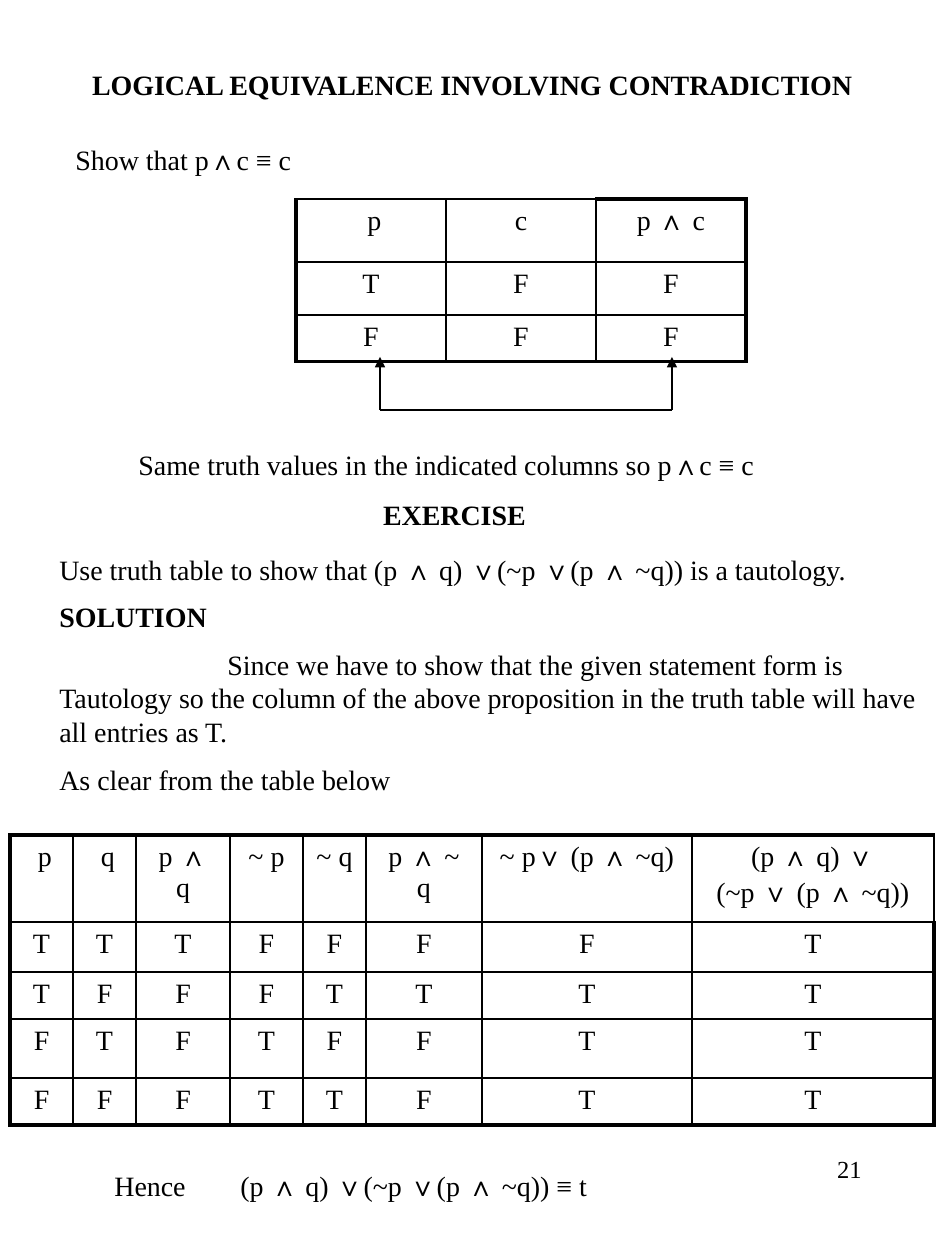
from pptx import Presentation
from pptx.dml.color import RGBColor
from pptx.enum.shapes import MSO_CONNECTOR
from pptx.enum.text import MSO_ANCHOR, MSO_AUTO_SIZE, PP_ALIGN
from pptx.oxml.ns import qn
from pptx.util import Pt
from lxml.etree import SubElement

SCALE = 914400 / 126
FONT, INK = "Times New Roman", "000000"
LEFT, MID, RIGHT = PP_ALIGN.LEFT, PP_ALIGN.CENTER, PP_ALIGN.RIGHT
THIN, THICK = 1, 2.25

# box, align, size, paragraphs of (text, bold, left margin, first indent)
HEADS = [
    ((0, 42, 945, 84), "LOGICAL EQUIVALENCE INVOLVING CONTRADICTION"),
    ((53, 483, 803, 63), "EXERCISE"),
]
NOTES = [
    ((63, 136, 283, 46), [("Show that p∧c ≡ c", False, 0, 0)]),
    ((0, 441, 945, 46), [
        ("Same truth values in the indicated columns so p∧c ≡ c", False, 126, 0)]),
    ((47, 546, 898, 266), [
        ("Use truth table to show that (p ∧ q) ∨(~p ∨(p ∧ ~q)) is a tautology.",
         False, 0, 0),
        ("SOLUTION", True, 0, 0),
        ("Since we have to show that the given statement form is Tautology so "
         "the column of the above proposition in the truth table will have all "
         "entries as T.", False, 0, 168),
        ("As clear from the table below", False, 0, 0)]),
    ((102, 1162, 662, 46), [("Hence\t(p ∧ q) ∨(~p ∨(p ∧ ~q)) ≡ t", False, 0, 0)]),
]
PAGE = ((678, 1148, 196, 84), "21")

# left, top, column widths, row heights, rows, thin outer edges
TABLES = [
    (296, 199, [150] * 3, [63, 53, 46],
     [[" p", "c", "p ∧ c"], "TFF", "FFF"],
     {(0, 0, "T"), (0, 1, "T")}),
    (10, 835, [63, 63, 94, 73, 63, 116, 210, 242], [87, 50, 47, 59, 47],
     [[" p", " q", "p ∧ q", "~ p", "~ q", "p ∧ ~ q", "~ p∨ (p ∧ ~q)",
       "(p ∧ q) ∨\n(~p ∨ (p ∧ ~q))"],
      "TTTFFFFT", "TFFFTTTT", "FTFTFFTT", "FFFTTFTT"],
     {(0, 7, "R")}),
]
LINKS = [
    ((380, 410), (380, 357), True),
    ((380, 410), (672, 410), False),
    ((672, 410), (672, 357), True),
]


def px(num):
    """Turn px into EMU."""
    return round(num * SCALE)


def hue(text):
    """Turn a hex string into a colour."""
    return RGBColor.from_string(text)


def write(para, text, size=16, bold=False, align=LEFT, gap=0):
    """Add one run to a paragraph."""
    para.alignment = align
    para.space_before = Pt(gap)
    run = para.add_run()
    run.text = text
    run.font.name, run.font.size, run.font.bold = FONT, Pt(size), bold
    run.font.color.rgb = hue(INK)


def frame(slide, box, grow=False, anchor=MSO_ANCHOR.TOP):
    """Add an empty text box and give its text frame."""
    body = slide.shapes.add_textbox(*map(px, box)).text_frame
    body.word_wrap = True
    body.auto_size = MSO_AUTO_SIZE.SHAPE_TO_FIT_TEXT if grow else MSO_AUTO_SIZE.NONE
    body.vertical_anchor = anchor
    return body


def paras(body, count):
    """Give a text frame the wanted number of paragraphs."""
    return [body.paragraphs[0]] + [body.add_paragraph() for _ in range(count - 1)]


def edge(cell, side, width):
    """Draw one border of a cell."""
    line = SubElement(cell._tc.get_or_add_tcPr(), qn("a:ln" + side), w=str(Pt(width)))
    fill = SubElement(line, qn("a:solidFill"))
    SubElement(fill, qn("a:srgbClr"), val=INK)


def grid(slide, left, top, cols, rows, data, slim):
    """Add a truth table with a thick outline."""
    box = map(px, (left, top, sum(cols), sum(rows)))
    table = slide.shapes.add_table(len(rows), len(cols), *box).table
    table.first_row = table.horz_banding = False
    for col, width in zip(table.columns, cols):
        col.width = px(width)
    for row, high in zip(table.rows, rows):
        row.height = px(high)
    for r, row in enumerate(data):
        for c, text in enumerate(row):
            cell = table.cell(r, c)
            outer = {"L": c == 0, "R": c == len(cols) - 1,
                     "T": r == 0, "B": r == len(rows) - 1}
            for side, rim in outer.items():
                thick = rim and (r, c, side) not in slim
                edge(cell, side, THICK if thick else THIN)
            cell.fill.background()
            parts = text.split("\n")
            for para, part in zip(paras(cell.text_frame, len(parts)), parts):
                write(para, part, align=MID, gap=3)


def link(slide, start, end, arrow):
    """Add a thin line, with an arrowhead at its end if wanted."""
    line = slide.shapes.add_connector(
        MSO_CONNECTOR.STRAIGHT, *map(px, start + end))
    line.line.color.rgb = hue(INK)
    line.line.width = Pt(0.75)
    if arrow:
        SubElement(line.line._get_or_add_ln(), qn("a:tailEnd"), type="triangle")
    SubElement(line._element.spPr, qn("a:effectLst"))


def main():
    """Build the slide and save it."""
    deck = Presentation()
    deck.slide_width, deck.slide_height = px(945), px(1260)
    slide = deck.slides.add_slide(deck.slide_layouts[6])
    for box, text in HEADS:
        body = frame(slide, box, anchor=MSO_ANCHOR.MIDDLE)
        write(body.paragraphs[0], text, bold=True, align=MID)
    for box, items in NOTES:
        body = frame(slide, box, grow=True)
        for para, (text, bold, left, first) in zip(paras(body, len(items)), items):
            write(para, text, bold=bold, gap=8)
            props = para._p.get_or_add_pPr()
            props.set("marL", str(px(left)))
            props.set("indent", str(px(first)))
    box, text = PAGE
    write(frame(slide, box).paragraphs[0], text, size=14, align=RIGHT)
    for spec in TABLES:
        grid(slide, *spec)
    for item in LINKS:
        link(slide, *item)
    deck.save("out.pptx")


if __name__ == "__main__":
    main()
